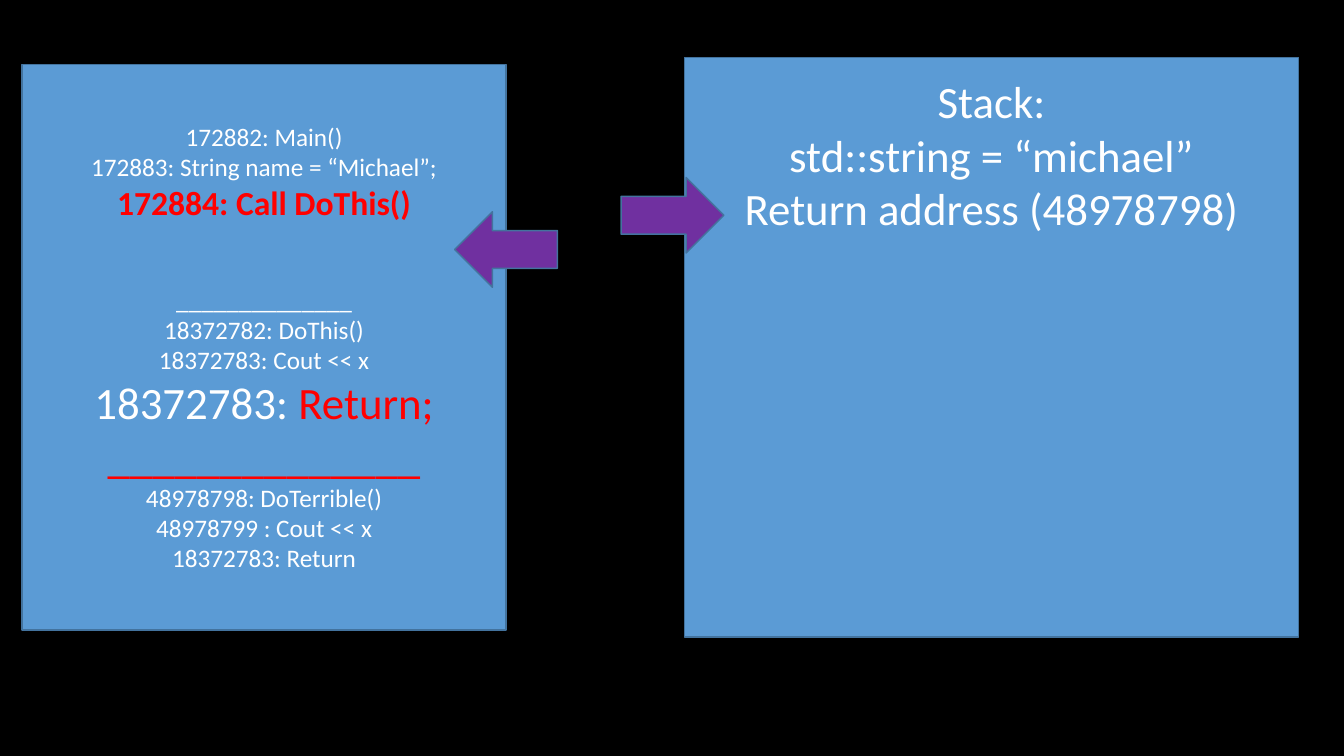
from dataclasses import dataclass

from pptx import Presentation
from pptx import util as u
from pptx.dml.color import RGBColor
from pptx.enum import shapes, text

WIDE, HIGH = u.Inches(13.33), u.Inches(7.5)
WHITE, RED, BLUE, PURPLE, EDGE = "FFFFFF", "FF0000", "5B9BD5", "7030A0", "43739E"
RULE = "_" * 14


@dataclass(frozen=True)
class Run:
    words: str
    size: int = 18
    tint: str = WHITE
    bold: bool = False


@dataclass(frozen=True)
class Line:
    runs: tuple[Run, ...]
    gap: int = 0


@dataclass(frozen=True)
class Box:
    left: float
    top: float
    width: float
    height: float


@dataclass(frozen=True)
class Panel:
    box: Box
    lines: tuple[Line, ...]
    anchor: text.MSO_ANCHOR
    inset: float


@dataclass(frozen=True)
class Arrow:
    box: Box
    turn: int


def line(words: str, size: int = 18, tint: str = WHITE,
         bold: bool = False, gap: int = 0) -> Line:
    return Line((Run(words, size, tint, bold),), gap)


CODE = Panel(
    Box(1.65, 8.53, 36.01, 74.8),
    (
        line("172882: Main()"),
        line("172883: String name = “Michael”;"),
        line("172884: Call DoThis()", 24, RED, True),
        line(RULE, gap=44),
        line("18372782: DoThis()"),
        line("18372783: Cout << x"),
        Line((Run("18372783: ", 32), Run("Return;", 32, RED))),
        line(RULE, 32, RED),
        line("48978798: DoTerrible()"),
        line("48978799 : Cout << x"),
        line("18372783: Return"),
    ),
    text.MSO_ANCHOR.MIDDLE,
    0.05,
)
STACK = Panel(
    Box(50.94, 7.6, 45.69, 76.67),
    (
        line("Stack:", 32),
        line("std::string = “michael”", 32),
        line("Return address (48978798)", 32),
    ),
    text.MSO_ANCHOR.TOP,
    0.16,
)
CALL = Arrow(Box(33.83, 28, 7.65, 10), 0)
PUSH = Arrow(Box(46.21, 23.47, 7.65, 10), 180)


def color(tint: str) -> RGBColor:
    return RGBColor.from_string(tint)


def draw_shape(slide, kind: shapes.MSO_SHAPE, box: Box, fill: str):
    shape = slide.shapes.add_shape(
        kind,
        round(WIDE * box.left / 100),
        round(HIGH * box.top / 100),
        round(WIDE * box.width / 100),
        round(HIGH * box.height / 100),
    )
    shape.shadow.inherit = False
    shape.fill.solid()
    shape.fill.fore_color.rgb = color(fill)
    shape.line.color.rgb = color(EDGE)
    shape.line.width = u.Pt(1)
    return shape


def draw_panel(slide, panel: Panel) -> None:
    frame = draw_shape(slide, shapes.MSO_SHAPE.RECTANGLE, panel.box, BLUE).text_frame
    frame.word_wrap = True
    frame.vertical_anchor = panel.anchor
    frame.margin_top = u.Inches(panel.inset)
    for index, item in enumerate(panel.lines):
        para = frame.add_paragraph() if index else frame.paragraphs[0]
        para.alignment = text.PP_ALIGN.CENTER
        if item.gap:
            para.space_before = u.Pt(item.gap)
        for part in item.runs:
            run = para.add_run()
            run.text = part.words
            run.font.name = "Calibri"
            run.font.size = u.Pt(part.size)
            run.font.bold = part.bold
            run.font.color.rgb = color(part.tint)


def draw_arrow(slide, arrow: Arrow) -> None:
    shape = draw_shape(slide, shapes.MSO_SHAPE.LEFT_ARROW, arrow.box, PURPLE)
    shape.rotation = arrow.turn


def main() -> None:
    deck = Presentation()
    deck.slide_width, deck.slide_height = WIDE, HIGH
    slide = deck.slides.add_slide(deck.slide_layouts[6])
    back = slide.background.fill
    back.solid()
    back.fore_color.rgb = color("000000")
    for panel, arrow in ((CODE, CALL), (STACK, PUSH)):
        draw_panel(slide, panel)
        draw_arrow(slide, arrow)
    deck.save("out.pptx")


if __name__ == "__main__":
    main()
